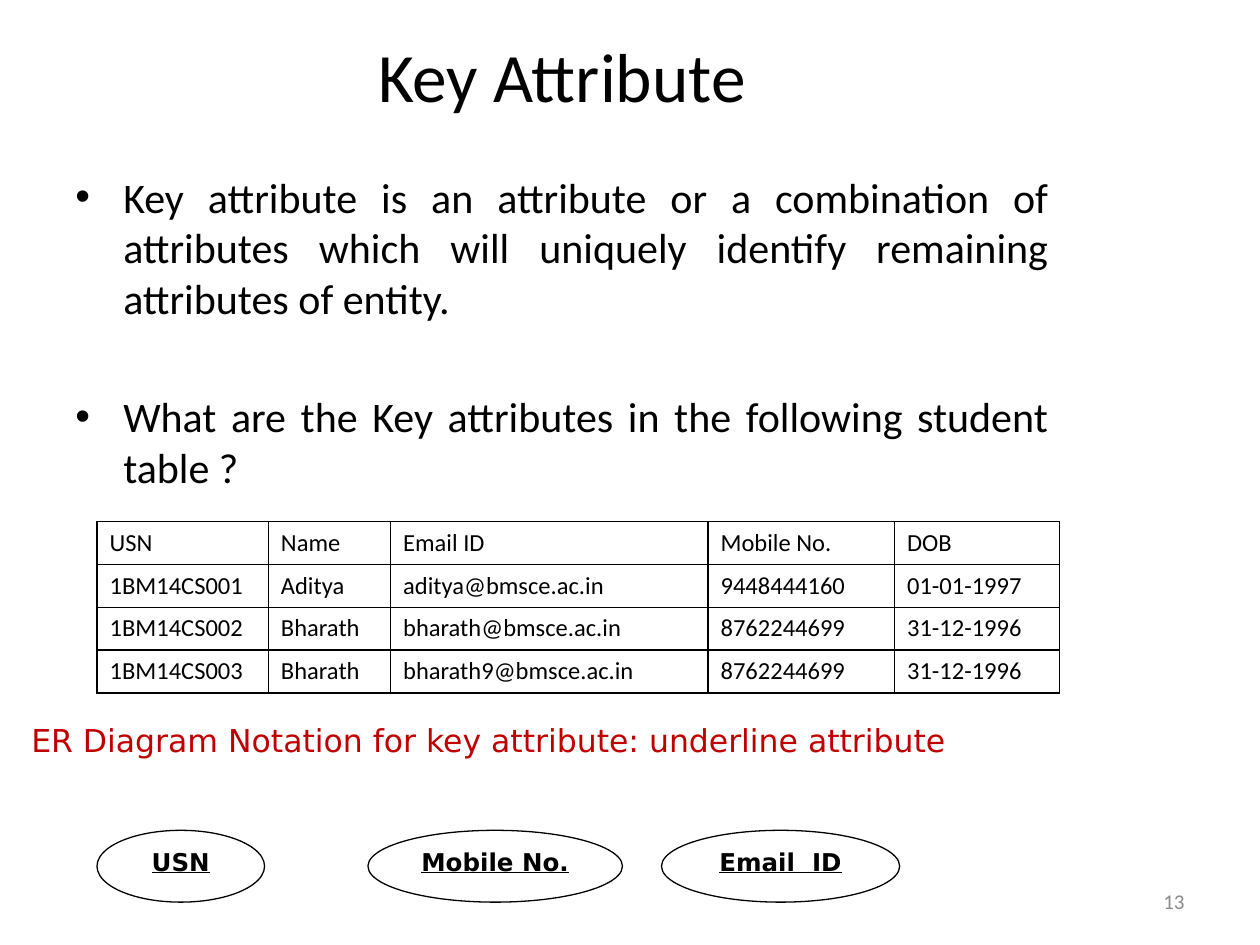
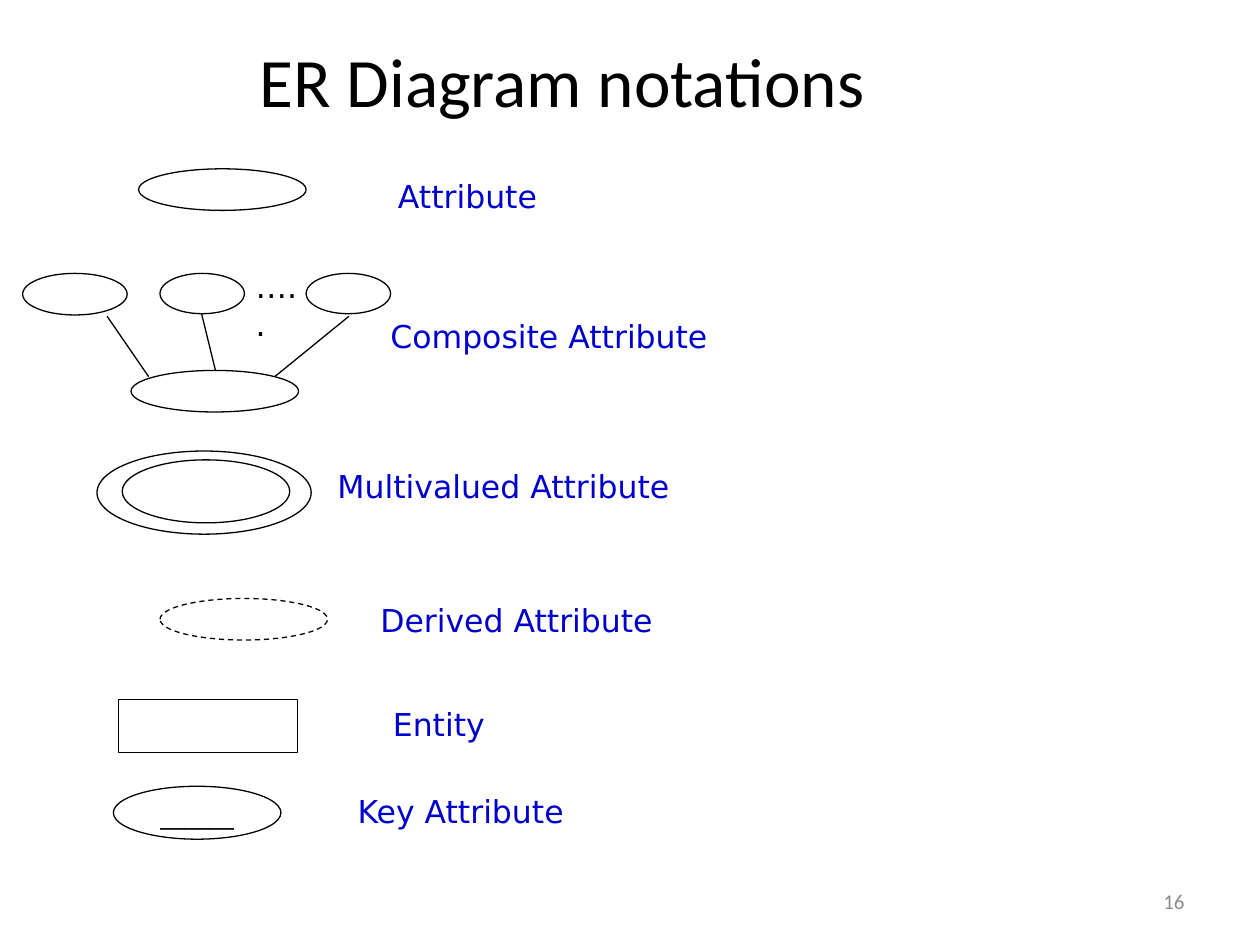
from typing import NamedTuple

from lxml import etree
from pptx import Presentation
from pptx.dml.color import RGBColor
from pptx.enum.dml import MSO_LINE
from pptx.enum.shapes import MSO_CONNECTOR, MSO_SHAPE
from pptx.enum.text import MSO_ANCHOR, MSO_AUTO_SIZE, PP_ALIGN
from pptx.oxml.ns import qn
from pptx.shapes.shapetree import GroupShapes, SlideShapes
from pptx.slide import Slide
from pptx.util import Inches, Pt

ELLIPSE, RECTANGLE = MSO_SHAPE.OVAL, MSO_SHAPE.RECTANGLE
LEFT, CENTER, RIGHT, JUSTIFY = PP_ALIGN.LEFT, PP_ALIGN.CENTER, PP_ALIGN.RIGHT, PP_ALIGN.JUSTIFY
TOP, MIDDLE = MSO_ANCHOR.TOP, MSO_ANCHOR.MIDDLE
FIT_TEXT = MSO_AUTO_SIZE.SHAPE_TO_FIT_TEXT
STRAIGHT, DASH = MSO_CONNECTOR.STRAIGHT, MSO_LINE.DASH

BLACK, WHITE, RED, BLUE, GRAY = "000000", "FFFFFF", "C00000", "0000CC", "8C8C8C"
OUTLINE_WIDTH = Pt(0.75)
BULLET_INDENT = Inches(0.38)
LABEL_HEIGHT = 0.4
BLANK_LAYOUT = 6
Shapes = SlideShapes | GroupShapes


class Style(NamedTuple):
    font: str
    size: float
    color: str = BLACK
    bold: bool = False
    underline: bool = False


class Box(NamedTuple):
    left: float
    top: float
    width: float
    height: float


class Label(NamedTuple):
    text: str
    left: float
    top: float
    width: float


class Symbol(NamedTuple):
    box: Box
    text: str = ""
    kind: MSO_SHAPE = ELLIPSE
    dashed: bool = False


class Link(NamedTuple):
    start: tuple[float, float]
    end: tuple[float, float]


TITLE = Style("Calibri", 39.6)
BODY = Style("Calibri", 24)
CELL = Style("Calibri", 14)
PAGE_NUMBER = Style("Calibri", 12, GRAY)
NOTE = Style("DejaVu Sans", 18, RED)
NOTATION = Style("DejaVu Sans", 18, BLUE)
DOTS = Style("DejaVu Sans", 18)
SYMBOL_TEXT = Style("DejaVu Sans", 14)
KEY_NAME = Style("DejaVu Sans", 14, bold=True, underline=True)

DEFINITIONS = [
    "Key attribute is an attribute or a combination of attributes which will "
    "uniquely identify remaining attributes of entity.",
    "What are the Key attributes in the following student table ?",
]
STUDENT_COLUMNS = [1.36, 0.97, 2.52, 1.48, 1.31]
STUDENT_ROW_HEIGHT = 0.34
STUDENTS = [
    ["USN", "Name", "Email ID", "Mobile No.", "DOB"],
    ["1BM14CS001", "Aditya", "aditya@bmsce.ac.in", "9448444160", "01-01-1997"],
    ["1BM14CS002", "Bharath", "bharath@bmsce.ac.in", "8762244699", "31-12-1996"],
    ["1BM14CS003", "Bharath", "bharath9@bmsce.ac.in", "8762244699", "31-12-1996"],
]
KEY_ATTRIBUTES = [
    Symbol(Box(0.77, 6.59, 1.33, 0.57), "USN"),
    Symbol(Box(2.92, 6.59, 2.02, 0.57), "Mobile No."),
    Symbol(Box(5.25, 6.59, 1.89, 0.57), "Email  ID"),
]

NOTATION_LABELS = [
    Label("Attribute", 3.06, 1.36, 1.32),
    Label("Composite Attribute", 3, 2.47, 2.74),
    Label("Multivalued Attribute", 2.58, 3.66, 2.85),
    Label("Derived Attribute", 2.92, 4.72, 2.38),
    Label("Entity", 3.02, 5.55, 0.94),
    Label("Key Attribute", 2.74, 6.24, 1.87),
]
SINGLE_SYMBOLS = [
    Symbol(Box(1.1, 1.34, 1.33, 0.33)),
    Symbol(Box(1.27, 4.75, 1.33, 0.33), dashed=True),
    Symbol(Box(0.94, 5.55, 1.42, 0.42), kind=RECTANGLE),
    Symbol(Box(0.9, 6.24, 1.33, 0.42), "______"),
]
COMPOSITE_SYMBOLS = [
    Symbol(Box(1.04, 2.94, 1.33, 0.33)),
    Symbol(Box(0.18, 2.17, 0.83, 0.33)),
    Symbol(Box(1.27, 2.17, 0.67, 0.32)),
    Symbol(Box(2.43, 2.17, 0.67, 0.32)),
]
COMPOSITE_LINKS = [
    Link((0.85, 2.51), (1.18, 2.99)),
    Link((1.6, 2.49), (1.71, 2.94)),
    Link((2.18, 2.99), (2.77, 2.51)),
]
MULTIVALUED_SYMBOLS = [
    Symbol(Box(0.77, 3.58, 1.7, 0.66)),
    Symbol(Box(0.97, 3.65, 1.33, 0.5)),
]


def color(value: str) -> RGBColor:
    return RGBColor.from_string(value)


def lengths(box: Box) -> list[Inches]:
    return [Inches(value) for value in box]


def format_text(text_frame, style: Style, alignment: PP_ALIGN = LEFT) -> None:
    for paragraph in text_frame.paragraphs:
        paragraph.alignment = alignment
        for run in paragraph.runs:
            run.font.name = style.font
            run.font.size = Pt(style.size)
            run.font.bold = style.bold
            run.font.underline = style.underline
            run.font.color.rgb = color(style.color)


def add_text(shapes: Shapes, text: str, box: Box, style: Style,
             alignment: PP_ALIGN = LEFT, anchor: MSO_ANCHOR = TOP, wrap: bool = True):
    text_frame = shapes.add_textbox(*lengths(box)).text_frame
    text_frame.text = text
    text_frame.word_wrap = wrap
    text_frame.vertical_anchor = anchor
    format_text(text_frame, style, alignment)
    return text_frame


def add_label(shapes: Shapes, label: Label, style: Style) -> None:
    box = Box(label.left, label.top, label.width, LABEL_HEIGHT)
    add_text(shapes, label.text, box, style, wrap=False).auto_size = FIT_TEXT


def add_symbol(shapes: Shapes, symbol: Symbol, style: Style = SYMBOL_TEXT) -> None:
    shape = shapes.add_shape(symbol.kind, *lengths(symbol.box))
    shape.shadow.inherit = False
    shape.fill.background()
    shape.line.color.rgb = color(BLACK)
    shape.line.width = OUTLINE_WIDTH
    if symbol.dashed:
        shape.line.dash_style = DASH
    if symbol.text:
        shape.text_frame.text = symbol.text
        shape.text_frame.vertical_anchor = TOP
        format_text(shape.text_frame, style, CENTER)


def add_link(shapes: Shapes, link: Link) -> None:
    connector = shapes.add_connector(STRAIGHT, *lengths(link.start), *lengths(link.end))
    connector.line.color.rgb = color(BLACK)
    connector.line.width = OUTLINE_WIDTH
    etree.SubElement(connector._element.spPr, qn("a:effectLst"))


def add_bullets(slide: Slide, texts: list[str], box: Box) -> None:
    text_frame = add_text(slide.shapes, "\n".join(texts), box, BODY, JUSTIFY)
    for index, paragraph in enumerate(text_frame.paragraphs):
        properties = paragraph._p.get_or_add_pPr()
        properties.set("marL", str(BULLET_INDENT))
        properties.set("indent", str(-BULLET_INDENT))
        paragraph.space_before = Pt(39 if index else 0)
        etree.SubElement(properties, qn("a:buFont"), typeface="Arial")
        etree.SubElement(properties, qn("a:buChar"), char="•")


def add_borders(cell) -> None:
    properties = cell._tc.get_or_add_tcPr()
    for side in ("a:lnL", "a:lnR", "a:lnT", "a:lnB"):
        line = etree.SubElement(properties, qn(side), w=str(Pt(1)))
        fill = etree.SubElement(line, qn("a:solidFill"))
        etree.SubElement(fill, qn("a:srgbClr"), val=BLACK)


def add_student_table(slide: Slide, left: float, top: float) -> None:
    box = Box(left, top, sum(STUDENT_COLUMNS), STUDENT_ROW_HEIGHT * len(STUDENTS))
    table = slide.shapes.add_table(len(STUDENTS), len(STUDENT_COLUMNS), *lengths(box)).table
    for column, width in zip(table.columns, STUDENT_COLUMNS):
        column.width = Inches(width)
    for row, values in zip(table.rows, STUDENTS):
        row.height = Inches(STUDENT_ROW_HEIGHT)
        for cell, value in zip(row.cells, values):
            cell.text_frame.text = value
            format_text(cell.text_frame, CELL)
            add_borders(cell)
            cell.fill.solid()
            cell.fill.fore_color.rgb = color(WHITE)


def add_titled_slide(presentation, title: str, title_height: float, number: int) -> Slide:
    slide = presentation.slides.add_slide(presentation.slide_layouts[BLANK_LAYOUT])
    add_text(slide.shapes, title, Box(0.5, 0.35, 7.92, title_height), TITLE, CENTER, MIDDLE)
    add_text(slide.shapes, str(number), Box(7.17, 6.95, 2.33, 0.4), PAGE_NUMBER, RIGHT, MIDDLE)
    return slide


def build_key_attribute_slide(presentation) -> None:
    slide = add_titled_slide(presentation, "Key Attribute", 0.49, 13)
    add_bullets(slide, DEFINITIONS, Box(0.5, 1.31, 7.92, 5.01))
    add_student_table(slide, 0.77, 4.14)
    note = "ER Diagram Notation for key attribute: underline attribute"
    add_label(slide.shapes, Label(note, 0.15, 5.67, 7.6), NOTE)
    for symbol in KEY_ATTRIBUTES:
        add_symbol(slide.shapes, symbol, KEY_NAME)


def build_notations_slide(presentation) -> None:
    slide = add_titled_slide(presentation, "ER Diagram notations", 0.57, 16)
    for label in NOTATION_LABELS:
        add_label(slide.shapes, label, NOTATION)
    composite = slide.shapes.add_group_shape().shapes
    multivalued = slide.shapes.add_group_shape().shapes
    for shapes, symbols in (
        (slide.shapes, SINGLE_SYMBOLS),
        (composite, COMPOSITE_SYMBOLS),
        (multivalued, MULTIVALUED_SYMBOLS),
    ):
        for symbol in symbols:
            add_symbol(shapes, symbol)
    for link in COMPOSITE_LINKS:
        add_link(composite, link)
    add_text(composite, "…..", Box(1.93, 2.07, 0.59, LABEL_HEIGHT), DOTS)


def main() -> None:
    presentation = Presentation()
    presentation.slide_width = Inches(10)
    presentation.slide_height = Inches(7.5)
    build_key_attribute_slide(presentation)
    build_notations_slide(presentation)
    presentation.save("out.pptx")


if __name__ == "__main__":
    main()
